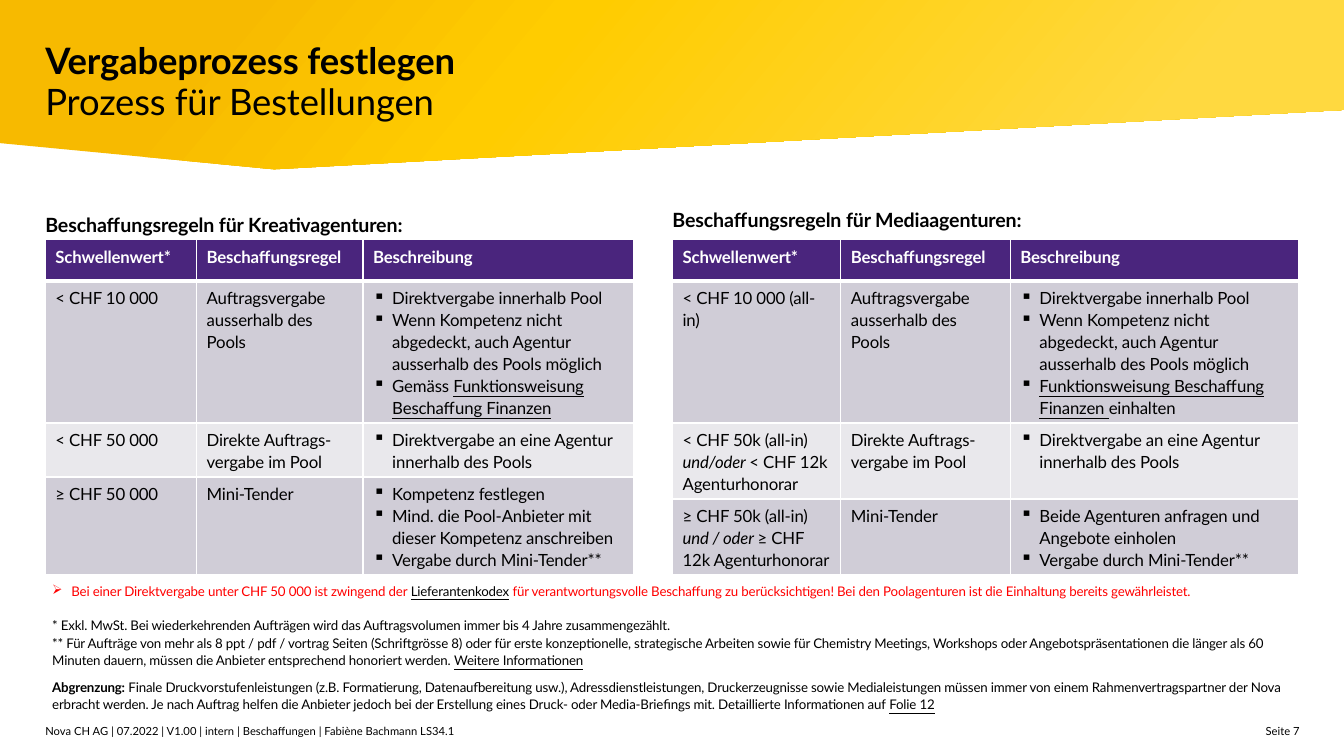
"""Build the slide on the award process for orders."""
from pptx import Presentation
from pptx.dml.color import RGBColor
from pptx.enum import text
from pptx.oxml import parse_xml
from pptx.oxml.ns import nsdecls, qn
from pptx.util import Inches, Pt

FONT = "Lato"
BLACK, WHITE, RED = "000000", "FFFFFF", "FF0000"
PURPLE, DARK_BAND, LIGHT_BAND = "4A257D", "D0CDD7", "E9E8EC"
BANNER = [(0, 1.42), (0, 0), (13.33, 0), (13.33, 1.09), (2.72, 1.68)]
BANNER_STOPS = [(16, "F7BA00"), (40, "FFCC00"), (85, "FFD940")]
MARGIN = 0.45

TITLE = [("Vergabeprozess festlegen", "b"), "\n", "Prozess für Bestellungen"]
HEADER = ["Schwellenwert*", "Beschaffungsregel", "Beschreibung"]
RULES = ["Auftragsvergabe ausserhalb des Pools", "Direkte Auftrags-vergabe im Pool", "Mini-Tender"]
POOL = [["Direktvergabe innerhalb Pool"],
        ["Wenn Kompetenz nicht abgedeckt, auch Agentur ausserhalb des Pools möglich"]]
DIRECT = [["Direktvergabe an eine Agentur innerhalb des Pools"]]
TENDER = ["Vergabe durch Mini-Tender**"]

TABLES = [
    dict(heading="Beschaffungsregeln für Kreativagenturen:", left=MARGIN, heading_top=2.09,
         widths=[1.5, 1.65, 2.68], heights=[0.41, 1.4, 0.53, 0.97],
         limits=[["< CHF 10 000"], ["< CHF 50 000"], ["≥ CHF 50 000"]],
         details=[POOL + [["Gemäss ", ("Funktionsweisung Beschaffung Finanzen", "u")]],
                  DIRECT,
                  [["Kompetenz festlegen"],
                   ["Mind. die Pool-Anbieter mit dieser Kompetenz anschreiben"], TENDER]]),
    dict(heading="Beschaffungsregeln für Mediaagenturen:", left=6.67, heading_top=2.04,
         widths=[1.67, 1.68, 2.86], heights=[0.41, 1.4, 0.75, 0.75],
         limits=[["< CHF 10 000 (all-in)"],
                 ["< CHF 50k (all-in) ", ("und/oder ", "i"), "< CHF 12k Agenturhonorar"],
                 ["≥ CHF 50k (all-in)", (" und / oder ", "i"), "≥ CHF 12k Agenturhonorar"]],
         details=[POOL + [[("Funktionsweisung Beschaffung Finanzen ", "u"), "einhalten"]],
                  DIRECT,
                  [["Beide Agenturen anfragen und Angebote einholen"], TENDER]]),
]

WARNING = ["Bei einer Direktvergabe unter CHF 50 000 ist zwingend der ",
           ("Lieferantenkodex", "u"),
           " für verantwortungsvolle Beschaffung zu berücksichtigen! Bei den Poolagenturen "
           "ist die Einhaltung bereits gewährleistet."]
NOTES = [
    (12.4, ["* Exkl. MwSt. Bei wiederkehrenden Aufträgen wird das Auftragsvolumen immer bis "
            "4 Jahre zusammengezählt."]),
    (0, ["** Für Aufträge von mehr als 8 ppt / pdf / vortrag Seiten (Schriftgrösse 8) oder für "
         "erste konzeptionelle, strategische Arbeiten sowie für Chemistry Meetings, Workshops "
         "oder Angebotspräsentationen die länger als 60 Minuten dauern, müssen die Anbieter "
         "entsprechend honoriert werden. ", ("Weitere Informationen", "u")]),
    (6.5, [("Abgrenzung:", "b"),
           " Finale Druckvorstufenleistungen (z.B. Formatierung, Datenaufbereitung usw.), "
           "Adressdienstleistungen, Druckerzeugnisse sowie Medialeistungen müssen immer von "
           "einem Rahmenvertragspartner der Nova erbracht werden. Je nach Auftrag helfen die "
           "Anbieter jedoch bei der Erstellung eines Druck- oder Media-Briefings mit. "
           "Detaillierte Informationen auf ", ("Folie 12", "u")]),
]
FOOTER = "Nova CH AG | 07.2022 | V1.00 | intern | Beschaffungen | Fabiène Bachmann LS34.1"
PAGE = "Seite 7"


def rgb(value):
    return RGBColor.from_string(value)


def write(p, runs, size, color=BLACK, bullet=None, spacing=1.09, before=0, tracking=-10):
    p.line_spacing, p.space_before, p.space_after = spacing, Pt(before), Pt(0)
    if bullet:
        pPr = p._p.get_or_add_pPr()
        pPr.set("marL", str(Inches(0.19)))
        pPr.set("indent", str(-Inches(0.19)))
        pPr.append(parse_xml(f'<a:buChar {nsdecls("a")} char="{bullet}"/>'))
    for item in runs:
        if item == "\n":
            p.add_line_break()
            continue
        words, style = (item, "") if isinstance(item, str) else item
        r = p.add_run()
        r.text = words
        r.font.name, r.font.size = FONT, Pt(size)
        r.font.bold, r.font.italic, r.font.underline = (key in style for key in "biu")
        r.font.color.rgb = rgb(BLACK if style == "u" else color)
        r._r.get_or_add_rPr().set("spc", str(tracking))


def clear_margins(tf):
    tf.margin_left = tf.margin_right = tf.margin_top = tf.margin_bottom = 0


def add_text(s, left, top, width, height, inset=False):
    tf = s.shapes.add_textbox(*map(Inches, (left, top, width, height))).text_frame
    tf.word_wrap = True
    if not inset:
        clear_margins(tf)
    return tf


def add_banner(s):
    points = [(Inches(x), Inches(y)) for x, y in BANNER]
    builder = s.shapes.build_freeform(*points[0], scale=1.0)
    builder.add_line_segments(points[1:], close=True)
    sp = builder.convert_to_shape()
    sp.shadow.inherit = False
    sp.line.fill.background()
    sp.fill.background()
    stops = "".join(f'<a:gs pos="{pos * 1000}"><a:srgbClr val="{c}"/></a:gs>'
                    for pos, c in BANNER_STOPS)
    spPr = sp._element.spPr
    spPr.replace(spPr.find(qn("a:noFill")), parse_xml(
        f'<a:gradFill {nsdecls("a")}><a:gsLst>{stops}</a:gsLst>'
        '<a:lin ang="2400000" scaled="0"/></a:gradFill>'))
    s.shapes._spTree.insert(2, sp._element)


def style_cell(cell, fill, top, bottom):
    cell.fill.solid()
    cell.fill.fore_color.rgb = rgb(fill)
    tcPr = cell._tc.get_or_add_tcPr()
    for i, (side, width) in enumerate([("L", 1), ("R", 1), ("T", top), ("B", bottom)]):
        tcPr.insert(i, parse_xml(
            f'<a:ln{side} {nsdecls("a")} w="{Pt(width)}"><a:solidFill>'
            f'<a:srgbClr val="{WHITE}"/></a:solidFill></a:ln{side}>'))


def add_rules_table(s, heading, left, heading_top, widths, heights, limits, details):
    tf = add_text(s, left, heading_top, 5.83, 0.24)
    write(tf.paragraphs[0], [(heading, "b")], 14)
    table = s.shapes.add_table(4, 3, *map(Inches, (left, 2.38, sum(widths), sum(heights)))).table
    for column, width in zip(table.columns, widths):
        column.width = Inches(width)
    for row, height in zip(table.rows, heights):
        row.height = Inches(height)
    rows = [[[[(label, "b")]] for label in HEADER]]
    rows += [[[limit], [[rule]], detail] for limit, rule, detail in zip(limits, RULES, details)]
    for i, row in enumerate(rows):
        fill = PURPLE if i == 0 else DARK_BAND if i % 2 else LIGHT_BAND
        for j, paragraphs in enumerate(row):
            cell = table.cell(i, j)
            style_cell(cell, fill, 3 if i == 1 else 1, 1 if i else 3)
            for k, runs in enumerate(paragraphs):
                tf = cell.text_frame
                p = tf.add_paragraph() if k else tf.paragraphs[0]
                write(p, runs, 12, BLACK if i else WHITE, "▪" if i and j == 2 else None)


def main():
    prs = Presentation()
    prs.slide_width, prs.slide_height = Inches(13.33), Inches(7.5)
    s = prs.slides.add_slide(prs.slide_layouts[5])
    add_banner(s)

    title = s.shapes.title
    title.left, title.top, title.width, title.height = map(Inches, (MARGIN, 0.41, 12.44, 0.91))
    tf = title.text_frame
    clear_margins(tf)
    tf.vertical_anchor = text.MSO_ANCHOR.TOP
    tf.auto_size = text.MSO_AUTO_SIZE.NONE
    write(tf.paragraphs[0], TITLE, 26, spacing=Pt(29))
    tf.paragraphs[0].alignment = text.PP_ALIGN.LEFT

    for content in TABLES:
        add_rules_table(s, **content)

    tf = add_text(s, 0.42, 5.72, 12.47, 1.4, inset=True)
    write(tf.paragraphs[0], WARNING, 9.5, RED, "➢")
    for before, runs in NOTES:
        write(tf.add_paragraph(), runs, 9.5, before=before)

    footer = add_text(s, MARGIN, 7.17, 8.5, 0.16)
    write(footer.paragraphs[0], [FOOTER], 8, tracking=0)
    page = add_text(s, 12.3, 7.17, 0.59, 0.16)
    write(page.paragraphs[0], [PAGE], 8, tracking=0)
    page.paragraphs[0].alignment = text.PP_ALIGN.RIGHT
    prs.save("out.pptx")


if __name__ == "__main__":
    main()
